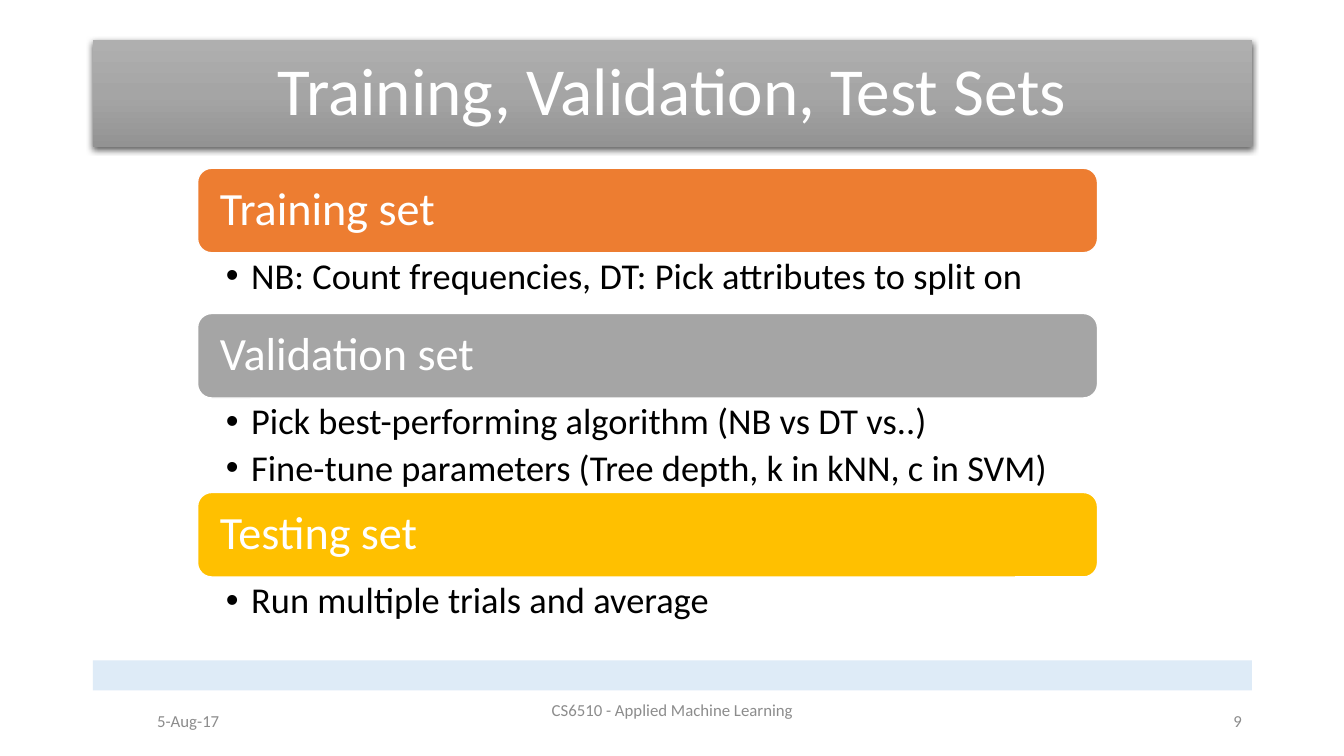
from lxml import etree
from pptx import Presentation
from pptx.dml.color import RGBColor
from pptx.enum.shapes import MSO_SHAPE
from pptx.enum.text import MSO_ANCHOR, MSO_AUTO_SIZE, PP_ALIGN
from pptx.oxml import parse_xml
from pptx.oxml.ns import nsdecls, qn
from pptx.util import Cm, Pt

# Content
TITLE = "Training, Validation, Test Sets"
WHITE = RGBColor(0xFF, 0xFF, 0xFF)
BLACK = RGBColor(0, 0, 0)
GREY = RGBColor(0x8C, 0x8C, 0x8C)
ORANGE = RGBColor(0xED, 0x7D, 0x31)
SILVER = RGBColor(0xA5, 0xA5, 0xA5)
GOLD = RGBColor(0xFF, 0xC0, 0x00)
PALE = RGBColor(0xDE, 0xEB, 0xF7)
LEFT, MID, RIGHT = PP_ALIGN.LEFT, PP_ALIGN.CENTER, PP_ALIGN.RIGHT
TOP, CENTRE = MSO_ANCHOR.TOP, MSO_ANCHOR.MIDDLE

SETS = [
    ("Training set", ORANGE, ["NB: Count frequencies, DT: Pick attributes to split on"]),
    ("Validation set", SILVER, ["Pick best-performing algorithm (NB vs DT vs..)",
                                "Fine-tune parameters (Tree depth, k in kNN, c in SVM)"]),
    ("Testing set", GOLD, ["Run multiple trials and average"]),
]
FOOT = [  # text, left, top, width, alignment
    ("5-Aug-17", 3.71, 17.65, 6.22, LEFT),
    ("CS6510 - Applied Machine Learning", 11.23, 17.37, 11.43, MID),
    ("9", 23.93, 17.65, 7.62, RIGHT),
]

# Measures in centimetres
EDGE, WIDE = 2.34, 29.21
BAND_X, BAND_W, BAND_H, BAND_Y = 4.98, 22.68, 2.13, 4.24
LIST_H, LINE_H = 1.53, 0.85  # one-line list, each further line

# Text formats
HEAD = dict(size=48, color=WHITE, align=MID, anchor=CENTRE, line=0.9)
BAND = dict(size=33, color=WHITE, anchor=CENTRE, line=0.9, pads=(0.46, 0.36, 0.46, 0.36))
LIST = dict(size=26, color=BLACK, line=0.9, after=5.2, bullet=True,
            pads=(0.71, 0.13, 0.66, 0.13))
NOTE = dict(size=12, color=GREY, anchor=CENTRE)


def place(shape, *box):
    for name, value in zip(("left", "top", "width", "height"), box):
        setattr(shape, name, Cm(value))


def write(shape, lines, size, color, align=LEFT, anchor=TOP, line=1.0, after=0,
          pads=(0.25, 0.13, 0.25, 0.13), bullet=False):
    frame = shape.text_frame
    frame.text = "\n".join(lines)
    look = dict(word_wrap=True, auto_size=MSO_AUTO_SIZE.NONE, vertical_anchor=anchor)
    for side, pad in zip(("left", "top", "right", "bottom"), pads):
        look["margin_" + side] = Cm(pad)
    for name, value in look.items():
        setattr(frame, name, value)
    for par in frame.paragraphs:
        if bullet:
            props = par._p.get_or_add_pPr()
            props.set("marL", str(Cm(0.64)))
            props.set("indent", str(-Cm(0.64)))
            etree.SubElement(props, qn("a:buChar")).set("char", "•")
        for name, value in dict(alignment=align, line_spacing=line, space_before=Pt(0),
                                space_after=Pt(after)).items():
            setattr(par, name, value)
        for run in par.runs:
            for name, value in dict(name="Calibri", size=Pt(size), bold=False).items():
                setattr(run.font, name, value)
            run.font.color.rgb = color


def block(kind, color, *box):
    shape = slide.shapes.add_shape(kind, *map(Cm, box))
    shape.shadow.inherit = False
    shape.fill.solid()
    shape.fill.fore_color.rgb = color
    shape.line.fill.background()
    return shape


deck = Presentation()
deck.slide_width, deck.slide_height = Cm(33.87), Cm(19.05)
slide = deck.slides.add_slide(deck.slide_layouts[4])
title, *bodies = slide.placeholders

# Title bar with gradient and shadow
place(title, EDGE, 1.02, WIDE, 2.69)
write(title, [TITLE], **HEAD)
stops = "".join(f'<a:gs pos="{pos}"><a:srgbClr val="{tone}"/></a:gs>'
                for pos, tone in ((0, "AFAFAF"), (50000, "A5A5A5"), (100000, "939393")))
title._element.spPr.append(parse_xml(
    f'<a:gradFill {nsdecls("a")} rotWithShape="1"><a:gsLst>{stops}</a:gsLst>'
    '<a:lin ang="5400000" scaled="0"/></a:gradFill>'))
title._element.spPr.append(parse_xml(
    f'<a:effectLst {nsdecls("a")}><a:outerShdw blurRad="{Pt(4.5)}" dist="{Pt(1.5)}" '
    'dir="5400000" algn="ctr" rotWithShape="0"><a:srgbClr val="000000">'
    '<a:alpha val="63000"/></a:srgbClr></a:outerShdw></a:effectLst>'))

# Footer strip and notes
block(MSO_SHAPE.RECTANGLE, PALE, EDGE, 16.64, WIDE, 0.76)
for text, x, y, w, align in FOOT:
    note = slide.shapes.add_textbox(Cm(x), Cm(y), Cm(w), Cm(1.01))
    write(note, [text], align=align, **NOTE)

# Coloured bands, each with its list below
y = BAND_Y
for (name, color, items), body in zip(SETS, bodies):
    band = block(MSO_SHAPE.ROUNDED_RECTANGLE, color, BAND_X, y, BAND_W, BAND_H)
    band.line.color.rgb = WHITE
    band.line.width = Pt(1)
    write(band, [name], **BAND)
    y += BAND_H
    tall = LIST_H + LINE_H * (len(items) - 1)
    place(body, BAND_X, y, BAND_W, tall)
    write(body, items, **LIST)
    y += tall

# Drop the unused placeholder
for spare in bodies[len(SETS):]:
    spare._element.getparent().remove(spare._element)

deck.save("out.pptx")
